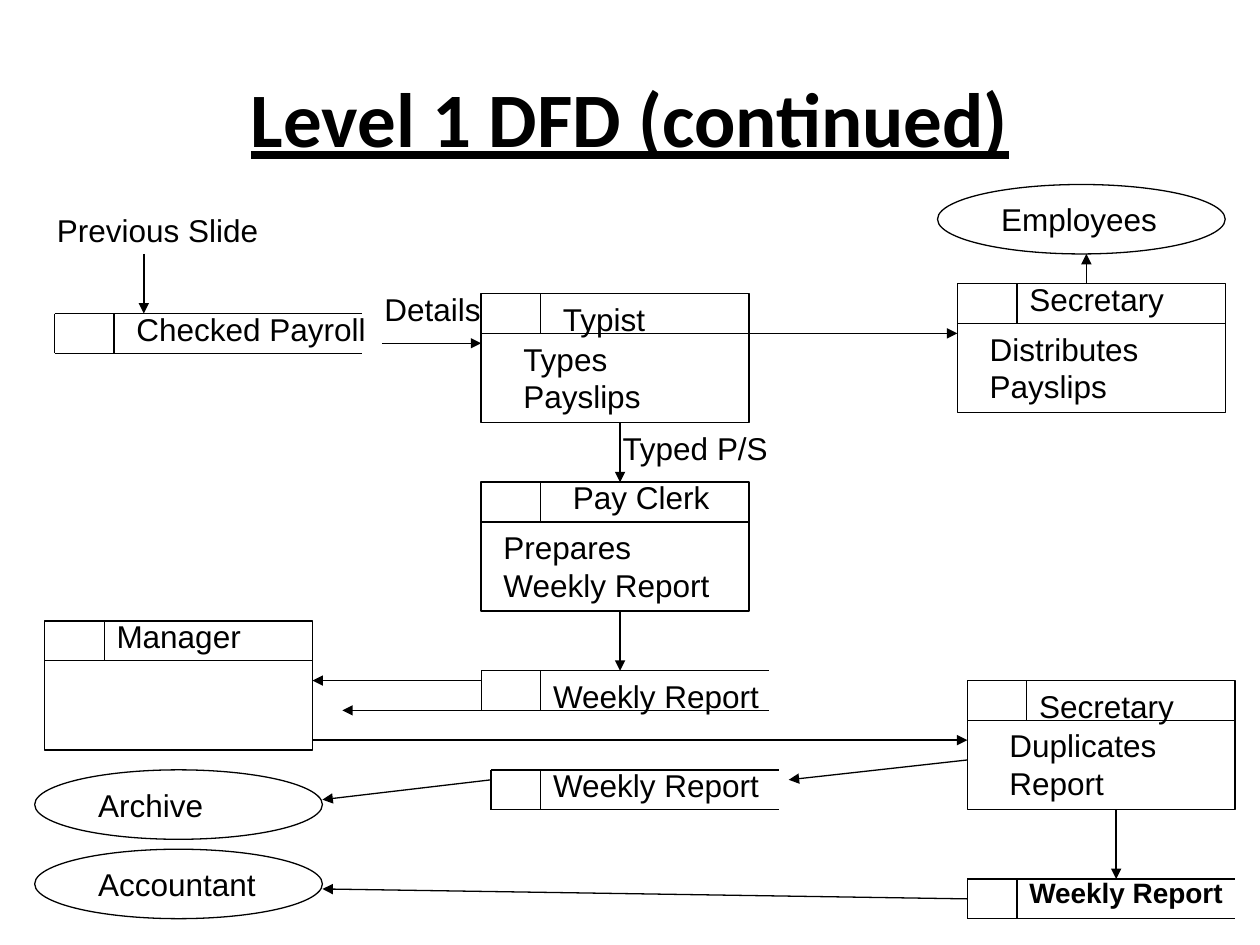
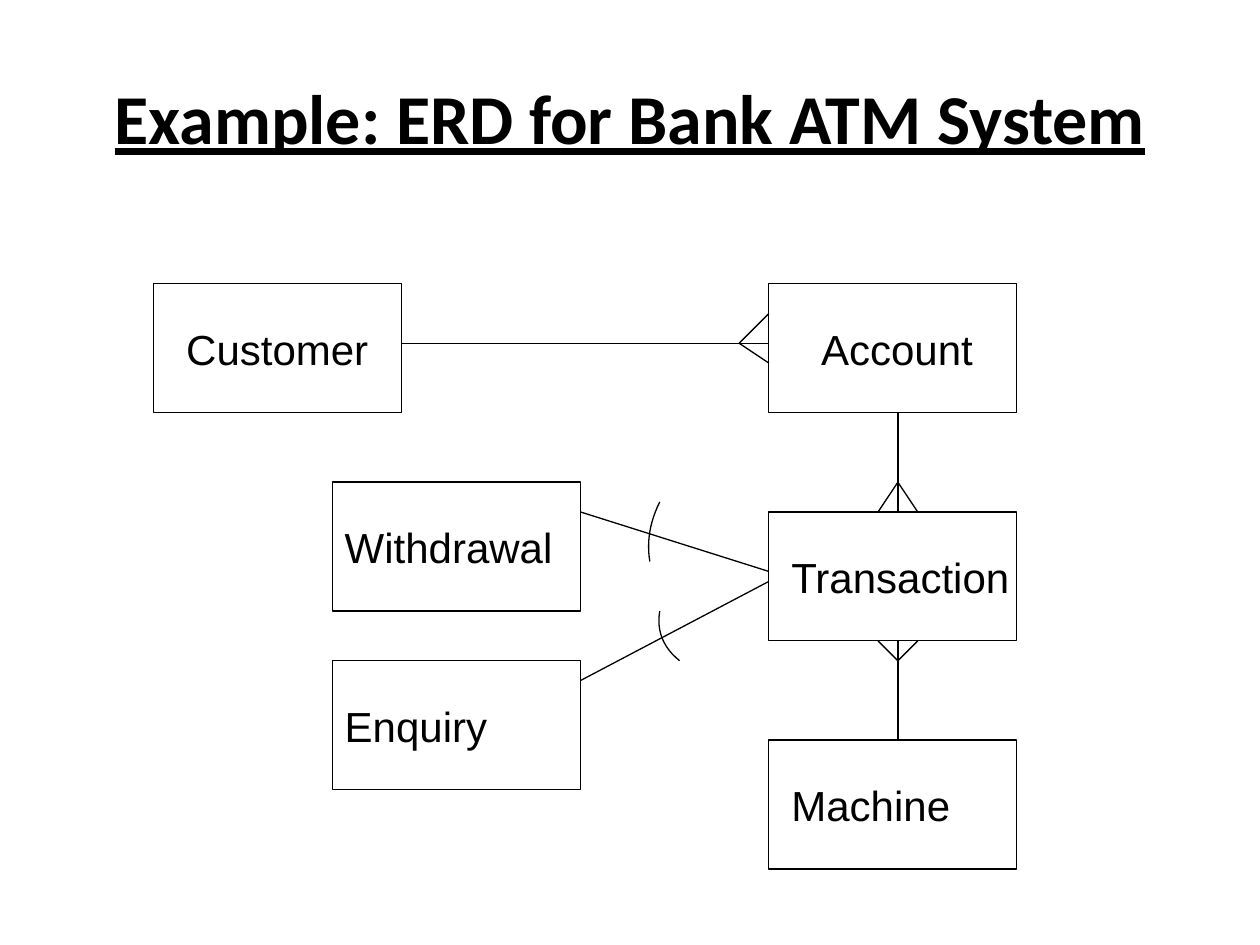
from lxml.etree import SubElement
from pptx import Presentation
from pptx.dml.color import RGBColor
from pptx.enum.shapes import MSO_CONNECTOR, MSO_SHAPE
from pptx.enum.text import MSO_ANCHOR, PP_ALIGN
from pptx.oxml.ns import qn
from pptx.util import Inches, Mm, Pt

COLORS = {"ink": "000000", "paper": "FFFFFF"}
TITLE_FONT, BODY_FONT = "Calibri", "Arial"
INSET = Inches(0.1)
LINE_WIDTH = Pt(0.75)

# Both diagrams sit on a 2 mm grid with a small margin at the top left.
CELL = 2
LEFT_MARGIN, TOP_MARGIN = 1, 1.2
PROCESS_SIZE = (27, 13)
ENTITY_SIZE = (29, 7)
TABLE_SIZE = (25, 13)
HEADER_ROWS = 4
LABEL_ROWS = 5


def color(name):
    return RGBColor.from_string(COLORS[name])


def span(cells):
    return Mm(CELL * cells)


def grid_x(column):
    return Mm(LEFT_MARGIN + CELL * column)


def grid_y(row):
    return Mm(TOP_MARGIN + CELL * row)


# Shared parts
def style_text(paragraph, text, size, font=BODY_FONT, bold=False):
    paragraph.text = text
    paragraph.font.name = font
    paragraph.font.size = Pt(size)
    paragraph.font.bold = bold
    paragraph.font.color.rgb = color("ink")


def add_titled_slide(deck, text, size):
    slide = deck.slides.add_slide(deck.slide_layouts[5])
    slide.background.fill.solid()
    slide.background.fill.fore_color.rgb = color("paper")
    title = slide.shapes.title
    title.left, title.top = Inches(0.5), Inches(0.3)
    title.width, title.height = Inches(9), Inches(1.25)
    title.text_frame.vertical_anchor = MSO_ANCHOR.MIDDLE
    paragraph = title.text_frame.paragraphs[0]
    style_text(paragraph, text, size, TITLE_FONT, bold=True)
    paragraph.font.underline = True
    paragraph.alignment = PP_ALIGN.CENTER
    return slide


def add_line(slide, start, end, arrow=False):
    line = slide.shapes.add_connector(
        MSO_CONNECTOR.STRAIGHT,
        grid_x(start[0]), grid_y(start[1]), grid_x(end[0]), grid_y(end[1]))
    line.line.color.rgb = color("ink")
    line.line.width = LINE_WIDTH
    if arrow:
        SubElement(line.line._get_or_add_ln(), qn("a:tailEnd"), type="triangle")
    SubElement(line._element.spPr, qn("a:effectLst"))


def style_outline(shape):
    shape.shadow.inherit = False
    shape.fill.background()
    shape.line.color.rgb = color("ink")
    shape.line.width = LINE_WIDTH


def add_outline(slide, preset, column, row, size):
    shape = slide.shapes.add_shape(
        preset, grid_x(column), grid_y(row), span(size[0]), span(size[1]))
    style_outline(shape)
    return shape


def fill_label(shape, text, size, left_inset):
    frame = shape.text_frame
    frame.word_wrap = False
    frame.vertical_anchor = MSO_ANCHOR.MIDDLE
    frame.margin_left = left_inset
    frame.margin_right = frame.margin_top = frame.margin_bottom = 0
    style_text(frame.paragraphs[0], text, size)
    frame.paragraphs[0].alignment = PP_ALIGN.LEFT


def add_text(slide, text, column, row, columns, rows=LABEL_ROWS, size=18, bold=False):
    box = slide.shapes.add_textbox(
        grid_x(column), grid_y(row), span(columns), span(rows))
    box.text_frame.word_wrap = True
    style_text(box.text_frame.paragraphs[0], text, size, bold=bold)


# Data flow diagram parts
def add_process(slide, column, row, name, name_offset, task="", task_indent=0, task_columns=0):
    """Box with a reference tab and a name above the task."""
    add_outline(slide, MSO_SHAPE.RECTANGLE, column, row, PROCESS_SIZE)
    rule = row + HEADER_ROWS
    add_line(slide, (column, rule), (column + PROCESS_SIZE[0], rule))
    add_line(slide, (column + 6, row), (column + 6, rule))
    add_text(slide, name, column + name_offset[0], row + name_offset[1], 19)
    if task:
        add_text(slide, task, column + task_indent, rule, task_columns, 9)


def add_store(slide, column, row, columns, tab, name, name_offset, size=18, bold=False):
    """Data store: open on the right, with a reference tab on the left."""
    bottom = row + HEADER_ROWS
    for edge in (row, bottom):
        add_line(slide, (column, edge), (column + columns, edge))
    for edge in (column, column + tab):
        add_line(slide, (edge, row), (edge, bottom))
    add_text(slide, name, column + name_offset[0], row + name_offset[1],
             columns - name_offset[0] + 3, size=size, bold=bold)


def add_entity(slide, column, row, name):
    entity = add_outline(slide, MSO_SHAPE.OVAL, column, row, ENTITY_SIZE)
    fill_label(entity, name, 18, Inches(0.17))


def build_data_flow(deck):
    slide = add_titled_slide(deck, "Level 1 DFD (continued)", 44)

    # Processes
    add_process(slide, 48, 29, "Typist", (7, 0), "Types Payslips", 3, 19)
    add_process(slide, 48, 48, "Pay Clerk", (8, -1), "Prepares Weekly Report", 1, 25)
    add_process(slide, 96, 28, "Secretary", (6, -1), "Distributes Payslips", 2, 23)
    add_process(slide, 97, 68, "Secretary", (6, 0), "Duplicates Report", 3, 23)
    add_process(slide, 4, 62, "Manager", (6, -1))

    # Data stores
    add_store(slide, 5, 31, 31, 6, "Checked Payroll", (7, -1))
    add_store(slide, 48, 67, 29, 6, "Weekly Report", (6, 0))
    add_store(slide, 49, 77, 29, 5, "Weekly Report", (5, -1))
    add_store(slide, 97, 88, 27, 5, "Weekly Report", (5, -1), 16, True)

    # External entities
    for column, row, name in ((94, 18, "Employees"), (3, 77, "Archive"),
                              (3, 85, "Accountant")):
        add_entity(slide, column, row, name)

    # Flows and their labels
    flows = (
        ((14, 25), (14, 31)),    # previous slide to checked payroll
        ((38, 34), (48, 34)),    # checked payroll to typist
        ((75, 33), (96, 33)),    # typist to secretary
        ((109, 28), (109, 25)),  # secretary to employees
        ((62, 42), (62, 48)),    # typist to pay clerk
        ((62, 61), (62, 67)),    # pay clerk to weekly report
        ((48, 68), (31, 68)),    # weekly report to manager
        ((51, 71), (34, 71)),
        ((31, 74), (97, 74)),    # manager to secretary
        ((97, 76), (79, 78)),    # secretary to weekly report
        ((49, 78), (32, 80)),    # weekly report to archive
        ((112, 81), (112, 88)),  # secretary to last weekly report
        ((97, 90), (32, 89)),    # weekly report to accountant
    )
    for start, end in flows:
        add_line(slide, start, end, arrow=True)
    add_text(slide, "Previous Slide", 4, 20, 27)
    add_text(slide, "Details", 37, 28, 14)
    add_text(slide, "Typed P/S", 61, 42, 19)


# Entity relationship diagram parts
def add_table_box(slide, column, row, name, indent):
    box = add_outline(slide, MSO_SHAPE.RECTANGLE, column, row, TABLE_SIZE)
    fill_label(box, name, 24, INSET + span(indent))


def add_arc(slide, start, control, end, steps=12):
    """Exclusion arc: a quadratic curve drawn in short steps."""
    points = []
    for step in range(steps + 1):
        t = step / steps
        column, row = ((1 - t) ** 2 * a + 2 * t * (1 - t) * b + t * t * c
                       for a, b, c in zip(start, control, end))
        points.append((grid_x(column), grid_y(row)))
    builder = slide.shapes.build_freeform(*points[0])
    builder.add_line_segments(points[1:], close=False)
    style_outline(builder.convert_to_shape())


def build_entity_relations(deck):
    slide = add_titled_slide(deck, "Example: ERD for Bank ATM System", 40)

    # Entities
    for column, row, name, indent in (
            (15, 28, "Customer", 2), (77, 28, "Account", 4),
            (77, 51, "Transaction", 1), (77, 74, "Machine", 1),
            (33, 48, "Withdrawal", 0), (33, 66, "Enquiry", 0)):
        add_table_box(slide, column, row, name, indent)

    # Relationships
    for start, end in (((40, 34), (77, 34)), ((90, 41), (90, 51)),
                       ((90, 64), (90, 74)), ((77, 57), (58, 51)),
                       ((77, 58), (58, 68))):
        add_line(slide, start, end)

    # Crow's feet at the "many" ends
    for apex, toes in (((74, 34), ((77, 31), (77, 36))),
                       ((90, 48), ((88, 51), (92, 51))),
                       ((90, 66), ((88, 64), (92, 64)))):
        for toe in toes:
            add_line(slide, apex, toe)

    # Exclusion arcs
    add_arc(slide, (66, 50), (64.5, 53), (65, 56))
    add_arc(slide, (66, 61), (65.5, 64), (68, 66))


def main():
    deck = Presentation()
    deck.slide_width, deck.slide_height = Inches(10), Inches(7.5)
    build_data_flow(deck)
    build_entity_relations(deck)
    deck.save("out.pptx")


if __name__ == "__main__":
    main()
